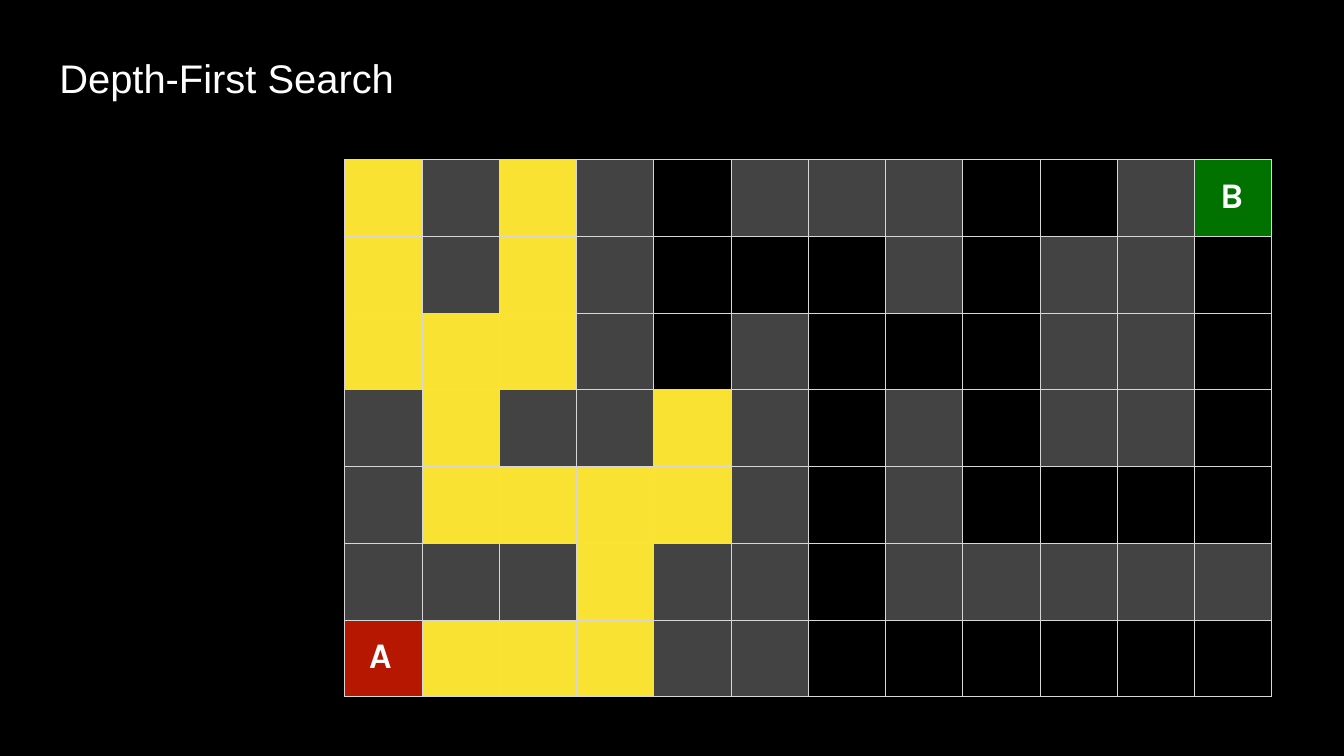
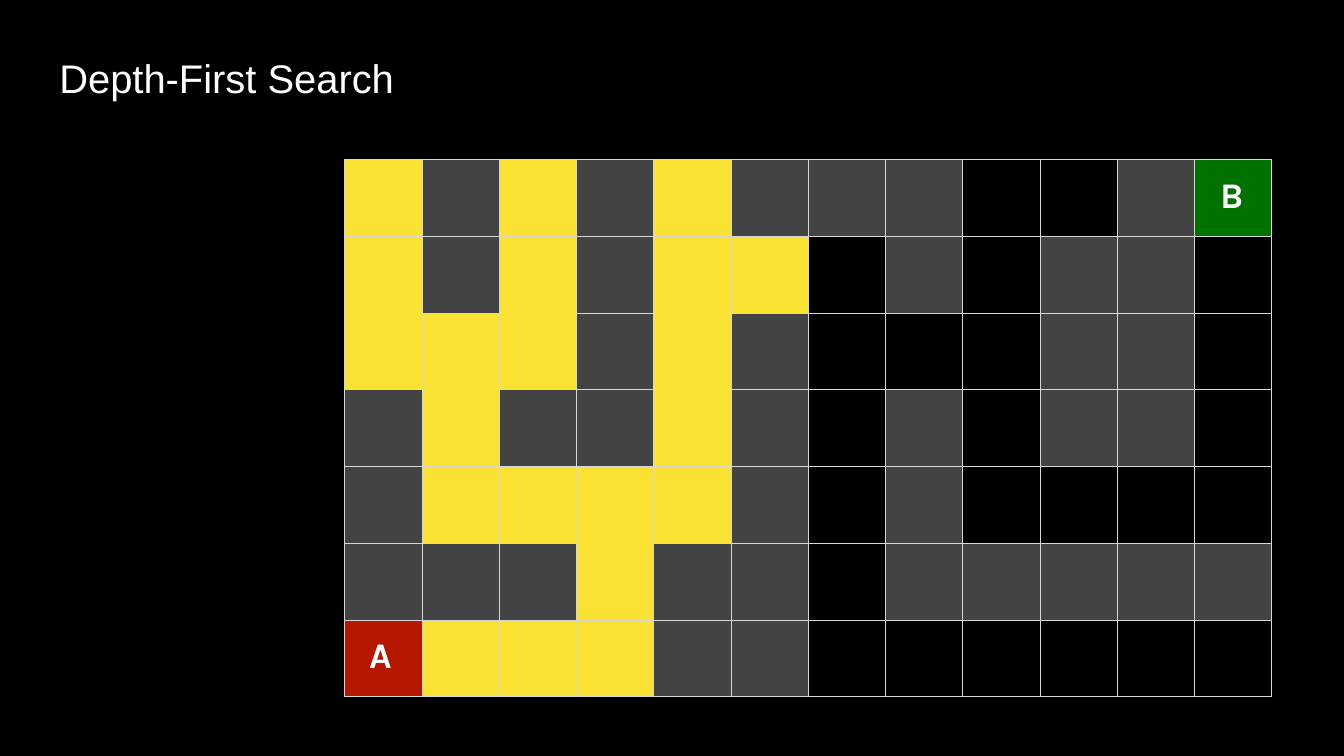
from typing import NamedTuple

from lxml import etree
from pptx import Presentation
from pptx import util as u
from pptx.dml.color import RGBColor
from pptx.enum import text as t
from pptx.oxml.ns import qn

BLACK = RGBColor(0x00, 0x00, 0x00)
WHITE = RGBColor(0xFF, 0xFF, 0xFF)
WALL = RGBColor(0x43, 0x43, 0x43)
SEEN = RGBColor(0xFA, 0xE2, 0x32)
START = RGBColor(0xB5, 0x17, 0x00)
GOAL = RGBColor(0x01, 0x71, 0x00)
RULE = RGBColor(0xD6, 0xD7, 0xD6)

# '#' is a wall, '.' is open, a digit is the step that first explores the cell
MAZE = (
    "1#1#2###..#B",
    "1#1#22.#.##.",
    "111#2#...##.",
    "#1##1#.#.##.",
    "#1111#.#....",
    "###1##.#####",
    "A111##......",
)


class Mark(NamedTuple):
    fill: RGBColor
    left: float
    top: float


MARKS = {"A": Mark(START, 0.4, 0.25), "B": Mark(GOAL, 0.42, 0.26)}


def write(frame, words: str, *, size: float, font: str, left: float,
          bold: bool = False) -> None:
    """Put one left-aligned white paragraph, indented by left inches."""
    para = frame.paragraphs[0]
    para.alignment = t.PP_ALIGN.LEFT
    props = para._p.get_or_add_pPr()
    props.set("marL", str(u.Inches(left)))
    props.set("indent", "0")
    run = para.add_run()
    run.text = words
    run.font.size = u.Pt(size)
    run.font.name = font
    run.font.bold = bold
    run.font.color.rgb = WHITE


def inset(box, top: float) -> None:
    """Clear the margins of a cell or text frame, except the top one."""
    box.margin_left = box.margin_right = box.margin_bottom = 0
    box.margin_top = u.Inches(top)
    box.vertical_anchor = t.MSO_ANCHOR.TOP


def rule(cell) -> None:
    """Draw the four borders; call before the fill is set."""
    props = cell._tc.get_or_add_tcPr()
    for side in "LRTB":
        line = etree.SubElement(props, qn(f"a:ln{side}"), w=str(u.Pt(1)))
        fill = etree.SubElement(line, qn("a:solidFill"))
        etree.SubElement(fill, qn("a:srgbClr"), val=str(RULE))


def paint(cell, code: str, step: int) -> None:
    mark = MARKS.get(code)
    inset(cell, mark.top if mark else 0)
    rule(cell)
    if mark:
        color = mark.fill
        write(cell.text_frame, code, size=42.5, font="Karla",
              left=mark.left, bold=True)
    elif code == "#":
        color = WALL
    elif code.isdigit() and int(code) <= step:
        color = SEEN
    else:
        cell.fill.background()
        return
    cell.fill.solid()
    cell.fill.fore_color.rgb = color


def add_maze(slide, step: int) -> None:
    grid = slide.shapes.add_table(
        len(MAZE), len(MAZE[0]), u.Inches(5.64), u.Inches(2.61),
        u.Inches(15.17), u.Inches(8.79)).table
    grid.first_row = grid.horz_banding = False
    for r, row in enumerate(MAZE):
        for c, code in enumerate(row):
            paint(grid.cell(r, c), code, step)


def add_title(slide, words: str) -> None:
    title = slide.shapes.title
    title.left, title.top = u.Inches(0.68), u.Inches(0.43)
    title.width, title.height = u.Inches(12.93), u.Inches(1.78)
    frame = title.text_frame
    frame.auto_size = t.MSO_AUTO_SIZE.NONE
    inset(frame, 0.44)
    write(frame, words, size=47, font="Arial", left=0.29)


def main() -> None:
    deck = Presentation()
    deck.slide_width, deck.slide_height = u.Inches(21.99), u.Inches(12.37)
    back = deck.slide_master.background.fill
    back.solid()
    back.fore_color.rgb = BLACK
    for step in (1, 2):
        slide = deck.slides.add_slide(deck.slide_layouts[5])
        add_title(slide, "Depth-First Search")
        add_maze(slide, step)
    deck.save("out.pptx")


if __name__ == "__main__":
    main()
